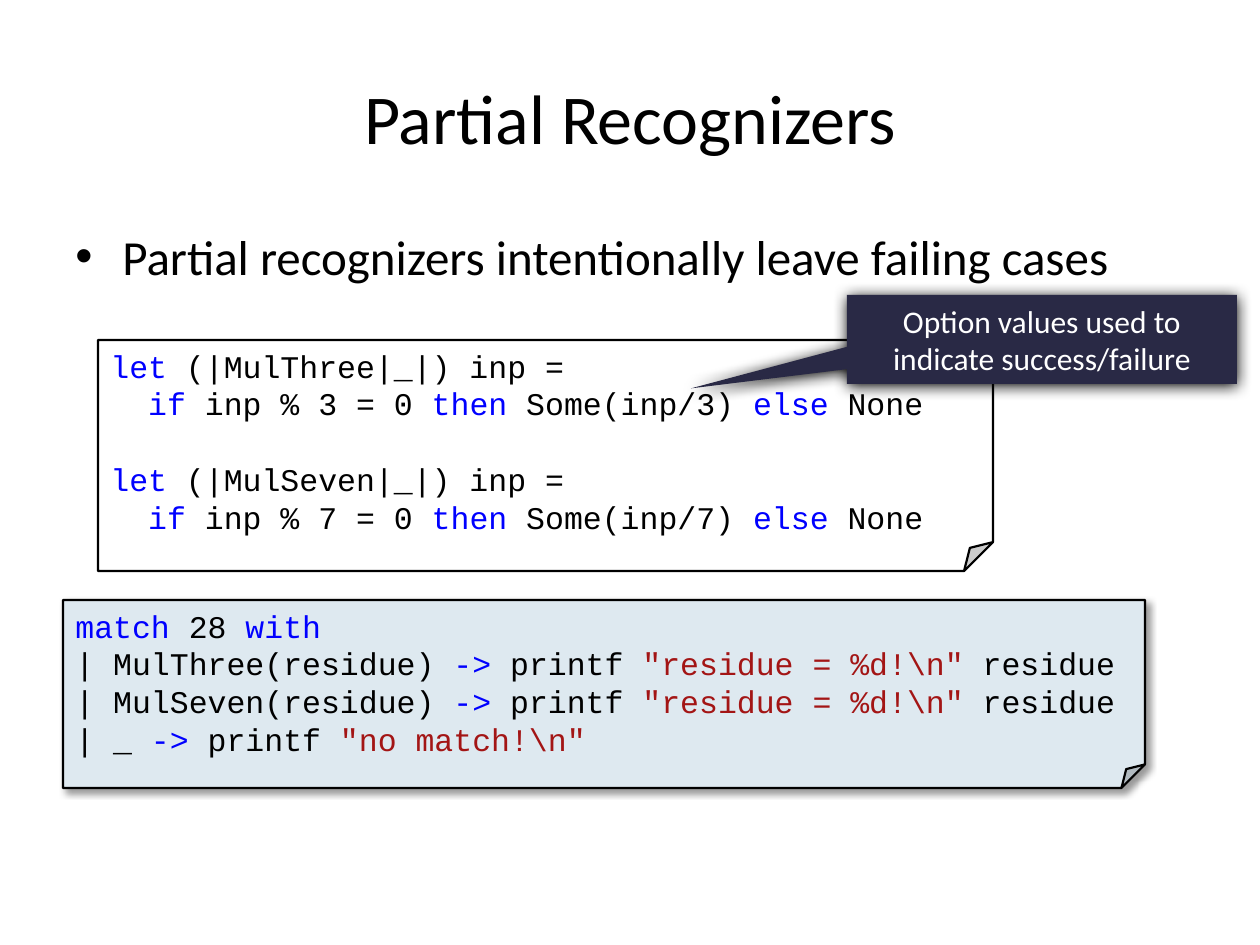
from lxml import etree
from pptx import Presentation
from pptx.dml.color import RGBColor
from pptx.enum.shapes import MSO_SHAPE
from pptx.enum.text import MSO_ANCHOR, PP_ALIGN
from pptx.oxml.ns import qn
from pptx.util import Emu, Pt

FOLDED = MSO_SHAPE.FOLDED_CORNER
CALLOUT = MSO_SHAPE.RECTANGULAR_CALLOUT
MIDDLE, TOP = MSO_ANCHOR.MIDDLE, MSO_ANCHOR.TOP
LEFT, CENTER = PP_ALIGN.LEFT, PP_ALIGN.CENTER

PX_PER_INCH = 126
BLACK, WHITE = "000000", "FFFFFF"
KEYWORD, STRING = "0000FF", "A31515"
PALE_BLUE, NAVY = "DEE9F0", "292945"
PROSE, MONO = "Calibri", "Courier New"


def px(length):
    return Emu(round(length * 914400 / PX_PER_INCH))


def rgb(value):
    return RGBColor.from_string(value)


def add_bullet(paragraph, indent):
    properties = paragraph._p.get_or_add_pPr()
    properties.set("marL", str(px(indent)))
    properties.set("indent", str(-px(indent)))
    etree.SubElement(properties, qn("a:buFont")).set("typeface", "Arial")
    etree.SubElement(properties, qn("a:buChar")).set("char", "•")


def write(shape, lines, size=18, font=PROSE, color=BLACK, align=LEFT,
          anchor=MIDDLE, wrap=True, bullet_indent=0):
    """Fill a shape with lines, each a list of (text, colour or None) runs."""
    frame = shape.text_frame
    frame.word_wrap = wrap
    frame.vertical_anchor = anchor
    for index, line in enumerate(lines):
        paragraph = frame.add_paragraph() if index else frame.paragraphs[0]
        paragraph.alignment = align
        if bullet_indent:
            add_bullet(paragraph, bullet_indent)
        for text, run_color in line:
            run = paragraph.add_run()
            run.text = text
            run.font.size = Pt(size)
            run.font.name = font
            run.font.color.rgb = rgb(run_color or color)


def add_shadow(shape, opacity, blur, distance, angle):
    effects = shape._element.spPr.find(qn("a:effectLst"))
    shadow = etree.SubElement(
        effects, qn("a:outerShdw"), blurRad=str(Pt(blur)), dist=str(Pt(distance)),
        dir=str(angle * 60000), algn="ctr", rotWithShape="0")
    shade = etree.SubElement(shadow, qn("a:srgbClr"), val=BLACK)
    etree.SubElement(shade, qn("a:alpha"), val=str(opacity * 1000))


def add_panel(slide, kind, box, fill, outlined=True):
    panel = slide.shapes.add_shape(kind, *map(px, box))
    panel.shadow.inherit = False
    panel.fill.solid()
    panel.fill.fore_color.rgb = rgb(fill)
    if outlined:
        panel.line.color.rgb = rgb(BLACK)
        panel.line.width = Pt(1.25)
    else:
        panel.line.fill.background()
    return panel


def set_fold(panel, fraction):
    """Size the folded corner, which python-pptx lists without adjustments."""
    guides = panel._element.spPr.find(qn("a:prstGeom")).get_or_add_avLst()
    etree.SubElement(guides, qn("a:gd"), name="adj",
                     fmla=f"val {round(fraction * 100000)}")


def add_code(slide, box, fill, lines, wrap=True):
    panel = add_panel(slide, FOLDED, box, fill)
    set_fold(panel, 1 / 8)
    write(panel, lines, font=MONO, wrap=wrap)
    return panel


def recognizer(name, divisor):
    return [
        [("let", KEYWORD), (f" (|{name}|_|) inp =", None)],
        [("  ", None), ("if ", KEYWORD), (f"inp % {divisor} = 0 ", None),
         ("then", KEYWORD), (f" Some(inp/{divisor}) ", None),
         ("else", KEYWORD), (" None", None)],
    ]


def match_case(pattern, message, argument=""):
    case = [(f"| {pattern} ", None), ("-> ", KEYWORD),
            ("printf ", None), (f'"{message}\\n"', STRING)]
    return case + [(f" {argument}", None)] if argument else case


def main():
    deck = Presentation()
    deck.slide_width, deck.slide_height = px(1260), px(945)
    slide = deck.slides.add_slide(deck.slide_layouts[5])

    title = slide.shapes.title
    title.left, title.top, title.width, title.height = map(px, (63, 38, 1134, 157))
    write(title, [[("Partial Recognizers", None)]], size=40, align=CENTER)

    summary = slide.shapes.add_textbox(*map(px, (63, 220, 1134, 624)))
    write(summary, [[("Partial recognizers intentionally leave failing cases", None)]],
          size=28, anchor=TOP, bullet_indent=47)

    blank_line = [(" ", None)]
    add_code(slide, (98, 340, 895, 231), WHITE,
             recognizer("MulThree", 3) + [blank_line] + recognizer("MulSeven", 7))

    residue_cases = [match_case(f"{name}(residue)", "residue = %d!", "residue")
                     for name in ("MulThree", "MulSeven")]
    usage = add_code(
        slide, (63, 600, 1082, 188), PALE_BLUE,
        [[("match", KEYWORD), (" 28 ", None), ("with", KEYWORD)],
         *residue_cases, match_case("_", "no match!")],
        wrap=False)
    add_shadow(usage, opacity=40, blur=4, distance=3, angle=45)

    callout = add_panel(slide, CALLOUT, (847, 295, 390, 89), NAVY, outlined=False)
    callout.adjustments[0], callout.adjustments[1] = -0.9, 0.55
    add_shadow(callout, opacity=100, blur=8.5, distance=1, angle=90)
    write(callout, [[("Option values used to indicate success/failure", None)]],
          color=WHITE, align=CENTER)

    deck.save("out.pptx")


if __name__ == "__main__":
    main()
